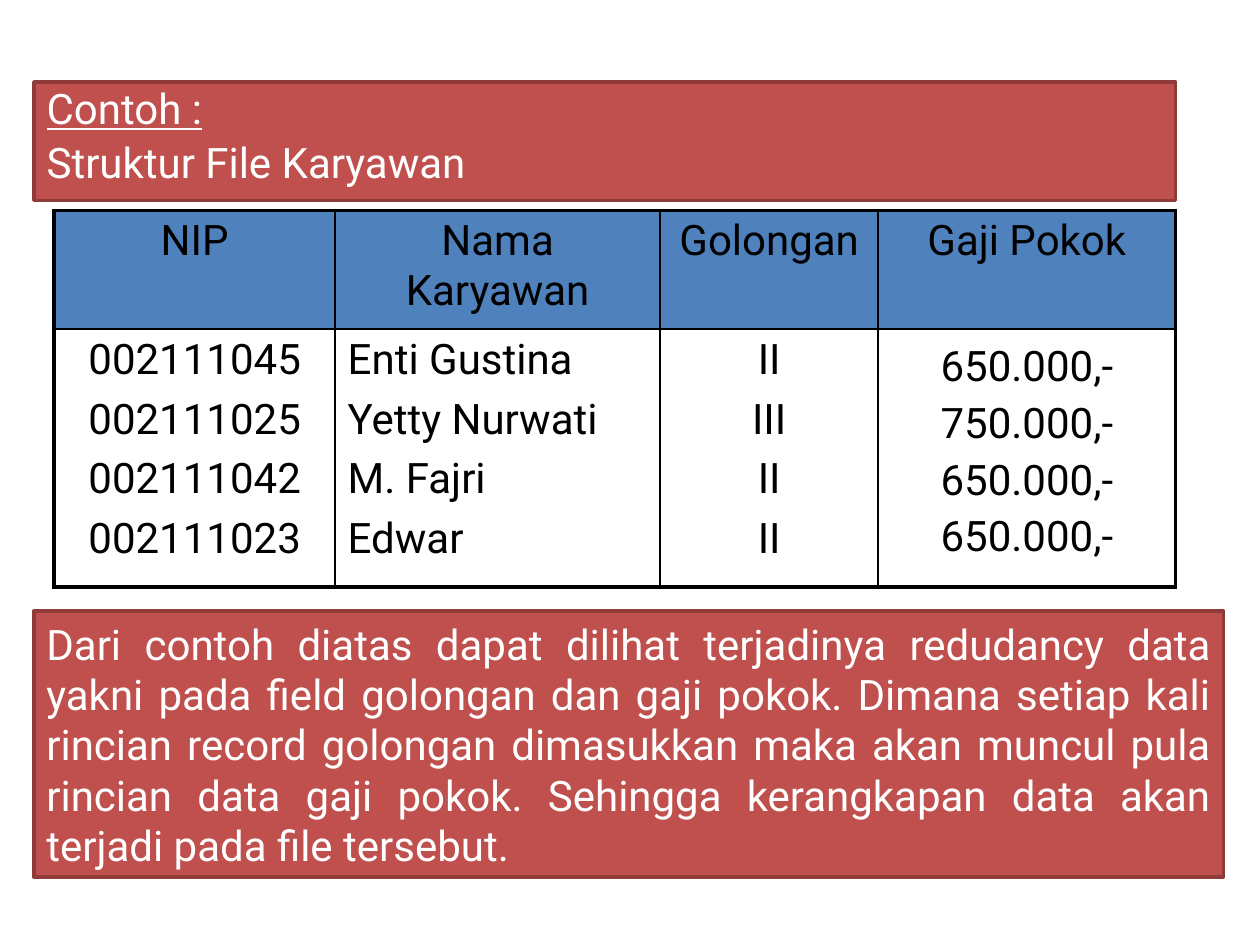
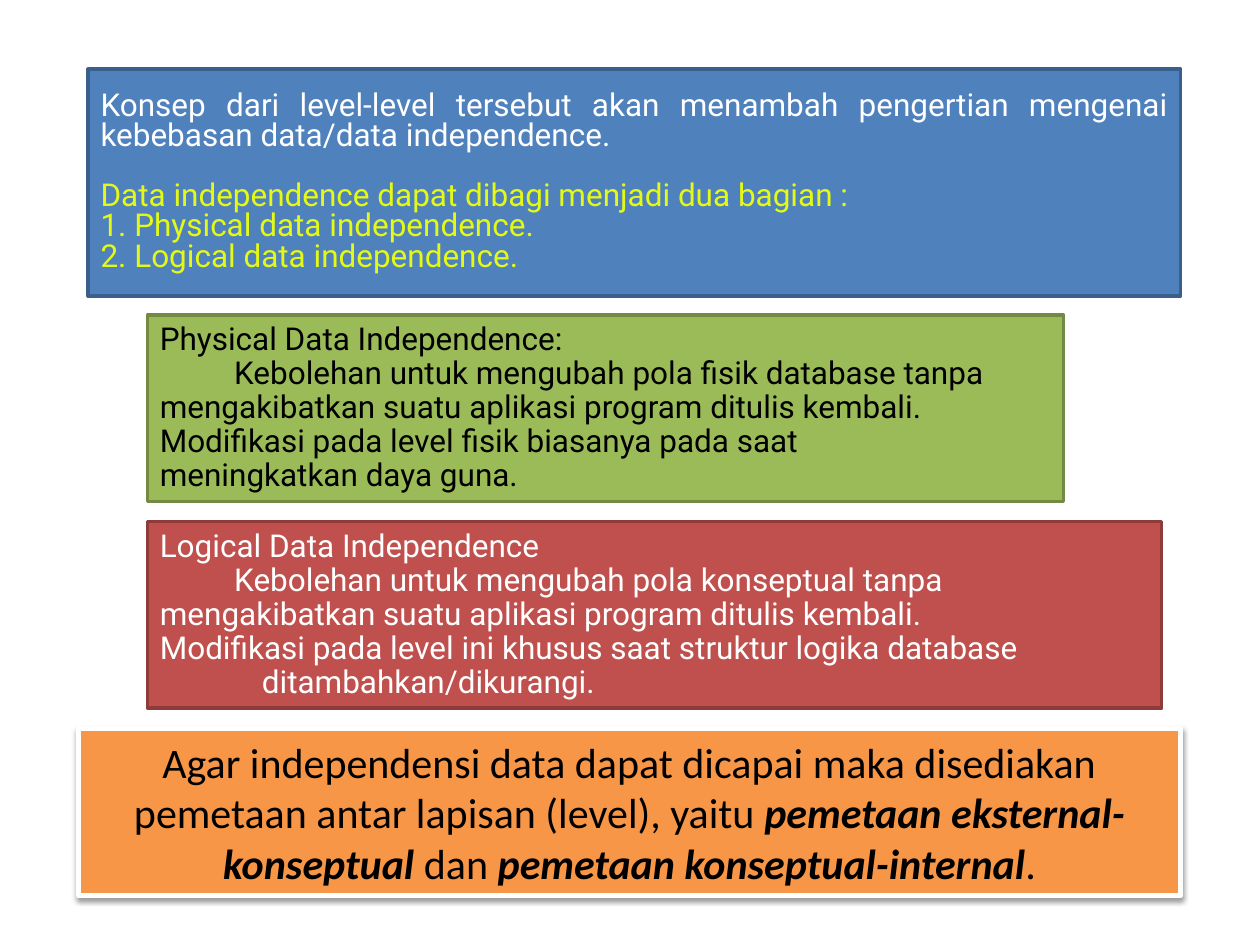
from lxml import etree
from pptx import Presentation
from pptx.dml.color import RGBColor
from pptx.enum.shapes import MSO_SHAPE
from pptx.enum.text import MSO_ANCHOR, MSO_AUTO_SIZE, PP_ALIGN
from pptx.oxml.ns import qn
from pptx.util import Inches, Pt

RECT = MSO_SHAPE.RECTANGLE
TOP, MID = MSO_ANCHOR.TOP, MSO_ANCHOR.MIDDLE
FIXED = MSO_AUTO_SIZE.NONE
LEFT, MIDDLE, BOTH = PP_ALIGN.LEFT, PP_ALIGN.CENTER, PP_ALIGN.JUSTIFY

COLORS = {
    "black": "000000", "white": "FFFFFF", "yellow": "E4FA16",
    "red": "C0504D", "red edge": "8E3B39",
    "blue": "4F81BD", "blue edge": "3A5F8C",
    "green": "9BBB59", "green edge": "738A42",
    "orange": "F79646",
}


def color(name):
    return RGBColor.from_string(COLORS[name])


class Deck:
    def __init__(self):
        self.file = Presentation()
        self.file.slide_width = Inches(10)
        self.file.slide_height = Inches(7.5)
        self.slide = None

    def page(self, layout):
        self.slide = self.file.slides.add_slide(self.file.slide_layouts[layout])

    def paint(self, shape, fill, edge, width=2):
        shape.fill.solid()
        shape.fill.fore_color.rgb = color(fill)
        shape.line.color.rgb = color(edge)
        shape.line.width = Pt(width)

    def para(self, frame, text, first=False, size=24, ink="white", face="Roboto",
             align=LEFT, space=None, before=0, margin=0, indent=0, under=False):
        par = frame.paragraphs[0] if first else frame.add_paragraph()
        if isinstance(text, str):
            par.text = text
        else:
            for words, strong in text:
                run = par.add_run()
                run.text = words
                if strong:
                    run.font.bold = run.font.italic = True
        props = par._p.get_or_add_pPr()
        props.set("marL", str(Inches(margin)))
        props.set("indent", str(Inches(indent)))
        etree.SubElement(props, qn("a:buNone"))
        par.alignment = align
        par.space_before = Pt(0 if first else before)
        if space:
            par.line_spacing = space
        font = par.font
        font.name, font.size = face, Pt(size)
        font.color.rgb = color(ink)
        if under:
            font.underline = True

    def text(self, frame, items, **style):
        frame.word_wrap = True
        for num, item in enumerate(items):
            words, extra = item if isinstance(item, tuple) else (item, {})
            self.para(frame, words, num == 0, **{**style, **extra})

    def body(self, box, fill, edge, items, **style):
        title = self.slide.shapes.title.element
        title.getparent().remove(title)
        shape = self.slide.placeholders[1]
        shape.left, shape.top, shape.width, shape.height = map(Inches, box)
        self.paint(shape, fill, edge)
        shape.text_frame.auto_size = FIXED
        shape.text_frame.vertical_anchor = TOP
        self.text(shape.text_frame, items, **style)

    def panel(self, box, fill, edge, items, width=2, shade=False, **style):
        shape = self.slide.shapes.add_shape(RECT, *map(Inches, box))
        shape.shadow.inherit = False
        self.paint(shape, fill, edge, width)
        if shade:
            self.shade(shape)
        shape.text_frame.vertical_anchor = MID
        self.text(shape.text_frame, items, **style)

    def shade(self, shape):
        effects = shape._element.spPr.find(qn("a:effectLst"))
        drop = etree.SubElement(effects, qn("a:outerShdw"), blurRad=str(Pt(3.1)),
                                dist=str(Pt(1.6)), dir="5400000", rotWithShape="0")
        tint = etree.SubElement(drop, qn("a:srgbClr"), val=COLORS["black"])
        etree.SubElement(tint, qn("a:alpha"), val="38000")

    def border(self, cell, sides):
        props = cell._tc.get_or_add_tcPr()
        for side, outer in sides.items():
            line = etree.SubElement(props, qn("a:ln" + side),
                                    w=str(Pt(2.25 if outer else 1)))
            fill = etree.SubElement(line, qn("a:solidFill"))
            etree.SubElement(fill, qn("a:srgbClr"), val=COLORS["black"])

    def table(self, box, cols, rows, data):
        table = self.slide.shapes.add_table(
            len(rows), len(cols), *map(Inches, box)).table
        table.first_row = table.horz_banding = False
        for col, width in zip(table.columns, cols):
            col.width = Inches(width)
        for row, height in zip(table.rows, rows):
            row.height = Inches(height)
        for r, line in enumerate(data):
            for c, (items, style) in enumerate(line):
                cell = table.cell(r, c)
                self.border(cell, {"L": c == 0, "R": c == len(cols) - 1,
                                   "T": r == 0, "B": r == len(rows) - 1})
                if r == 0:
                    cell.fill.solid()
                    cell.fill.fore_color.rgb = color("blue")
                else:
                    cell.fill.background()
                self.text(cell.text_frame, items, ink="black", before=6, **style)


def staff(deck):
    deck.page(1)
    deck.body((0.27, 0.65, 9.06, 0.94), "red", "red edge",
              [("Contoh :", {"under": True}), "Struktur File Karyawan"],
              space=0.9, before=4.8, margin=0.38, indent=-0.38)
    mid = {"align": MIDDLE}
    heads = [([name], mid) for name in
             ("NIP", "Nama Karyawan", "Golongan", "Gaji Pokok")]
    cells = [
        (["002111045", "002111025", "002111042", "002111023"], mid),
        (["Enti Gustina", "Yetty Nurwati", "M. Fajri", "Edwar"], {}),
        (["II", "III", "II", "II"], mid),
        (["650.000,-\v750.000,-\v650.000,-\v650.000,-"], {**mid, "space": 1.15}),
    ]
    deck.table((0.43, 1.67, 8.9, 2.99), (2.23, 2.58, 1.73, 2.36), (0.94, 2.05),
               (heads, cells))
    deck.panel((0.27, 4.85, 9.44, 2.11), "red", "red edge", [
        "Dari contoh diatas dapat dilihat terjadinya redudancy data yakni pada "
        "field golongan dan gaji pokok. Dimana setiap kali rincian record "
        "golongan dimasukkan maka akan muncul pula rincian data gaji pokok. "
        "Sehingga kerangkapan data akan terjadi pada file tersebut."], align=BOTH)


def levels(deck):
    deck.page(6)
    hint = {"ink": "yellow"}
    deck.panel((0.7, 0.55, 8.67, 1.8), "blue", "blue edge", [
        "Konsep dari level-level tersebut akan menambah pengertian mengenai "
        "kebebasan data/data independence.",
        ("Data independence dapat dibagi menjadi dua bagian :",
         {**hint, "before": 17}),
        ("1. Physical data independence.", hint),
        ("2. Logical data independence.", hint),
    ], size=18, align=BOTH, space=0.8)
    inset = {"indent": 0.59}
    deck.panel((1.17, 2.5, 7.27, 1.48), "green", "green edge", [
        "Physical Data Independence:",
        ("Kebolehan untuk mengubah pola fisik database tanpa\v"
         "mengakibatkan suatu aplikasi program ditulis kembali.\v"
         "Modifikasi pada level fisik biasanya pada saat\v"
         "meningkatkan daya guna.", inset),
    ], size=18, ink="black", space=0.9)
    deck.panel((1.17, 4.14, 8.05, 1.48), "red", "red edge", [
        "Logical Data Independence",
        ("Kebolehan untuk mengubah pola konseptual tanpa\v"
         "mengakibatkan suatu aplikasi program ditulis kembali.\v"
         "Modifikasi pada level ini khusus saat struktur logika database", inset),
        ("ditambahkan/dikurangi.", {"indent": 0.81}),
    ], size=18, space=0.9)
    deck.panel((0.62, 5.78, 8.75, 1.33), "orange", "white", [[
        ("Agar independensi data dapat dicapai maka disediakan pemetaan antar "
         "lapisan (level), yaitu ", False),
        ("pemetaan eksternal-konseptual ", True),
        ("dan ", False),
        ("pemetaan konseptual-internal", True),
        (".", False),
    ]], width=3, shade=True, ink="black", face="Calibri", align=MIDDLE)


def main():
    deck = Deck()
    staff(deck)
    levels(deck)
    deck.file.save("out.pptx")


if __name__ == "__main__":
    main()
